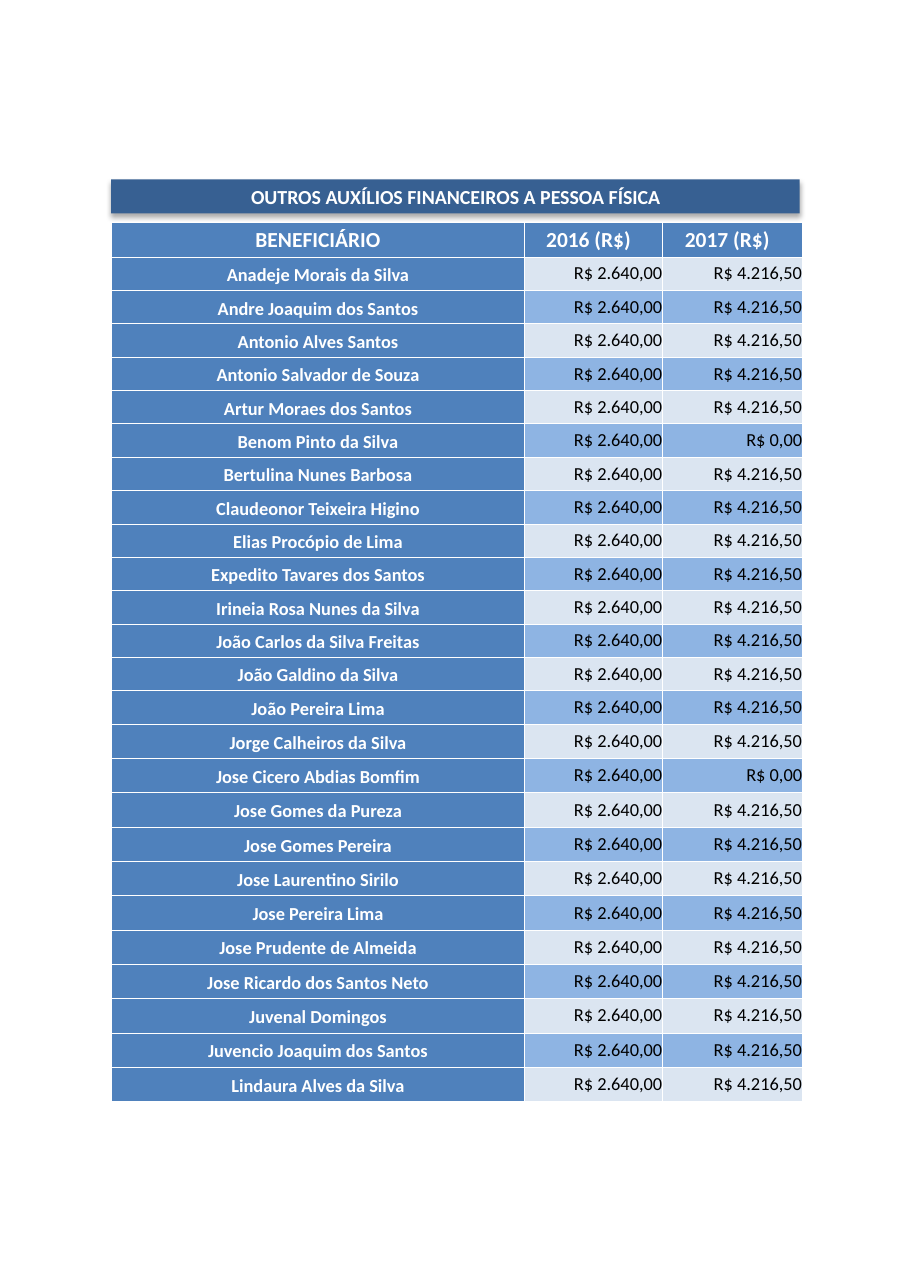
"""Build the slide listing financial aid paid to individuals in 2016 and 2017."""
from lxml import etree
from pptx import Presentation
from pptx.dml.color import RGBColor
from pptx.enum.shapes import MSO_SHAPE as Shape
from pptx.enum.text import MSO_ANCHOR as Anchor, PP_ALIGN as Align
from pptx.oxml import parse_xml
from pptx.oxml.ns import nsdecls, qn
from pptx.util import Pt

COLORS = {
    "title": "376092",
    "header": "4F81BC",
    "light": "DBE5F1",
    "dark": "8EB4E3",
    "white": "FFFFFF",
    "black": "000000",
}
FONT = "Calibri"
AID_2016 = "R$ 2.640,00"
AID_2017 = "R$ 4.216,50"
NO_AID = "R$ 0,00"
BENEFICIARIES = [
    "Anadeje Morais da Silva",
    "Andre Joaquim dos Santos",
    "Antonio Alves Santos",
    "Antonio Salvador de Souza",
    "Artur Moraes dos Santos",
    "Benom Pinto da Silva",
    "Bertulina Nunes Barbosa",
    "Claudeonor Teixeira Higino",
    "Elias Procópio de Lima",
    "Expedito Tavares dos Santos",
    "Irineia Rosa Nunes da Silva",
    "João Carlos da Silva Freitas",
    "João Galdino da Silva",
    "João Pereira Lima",
    "Jorge Calheiros da Silva",
    "Jose Cicero Abdias Bomfim",
    "Jose Gomes da Pureza",
    "Jose Gomes Pereira",
    "Jose Laurentino Sirilo",
    "Jose Pereira Lima",
    "Jose Prudente de Almeida",
    "Jose Ricardo dos Santos Neto",
    "Juvenal Domingos",
    "Juvencio Joaquim dos Santos",
    "Lindaura Alves da Silva",
]
UNPAID_2017 = {"Benom Pinto da Silva", "Jose Cicero Abdias Bomfim"}


def write(frame, text, size, color, bold, align):
    frame.text = text
    paragraph = frame.paragraphs[0]
    paragraph.alignment = align
    font = paragraph.runs[0].font
    font.name = FONT
    font.size = Pt(size)
    font.bold = bold
    font.color.rgb = RGBColor.from_string(COLORS[color])
    return paragraph


def style_cell(cell, fill, left=0, right=0):
    cell.vertical_anchor = Anchor.MIDDLE
    cell.margin_left, cell.margin_right = Pt(left), Pt(right)
    cell.margin_top = cell.margin_bottom = Pt(0)
    properties = cell._tc.get_or_add_tcPr()
    for side in ("lnL", "lnR", "lnT", "lnB"):
        border = etree.SubElement(properties, qn(f"a:{side}"), w=str(Pt(0.5)))
        border_fill = etree.SubElement(border, qn("a:solidFill"))
        etree.SubElement(border_fill, qn("a:srgbClr"), val=COLORS["white"])
    cell.fill.solid()
    cell.fill.fore_color.rgb = RGBColor.from_string(COLORS[fill])


deck = Presentation()
deck.slide_width, deck.slide_height = Pt(595.44), Pt(841.68)
slide = deck.slides.add_slide(deck.slide_layouts[6])

title = slide.shapes.add_shape(Shape.RECTANGLE, Pt(72.7), Pt(117.2), Pt(450), Pt(22.3))
title.fill.solid()
title.fill.fore_color.rgb = RGBColor.from_string(COLORS["title"])
title.line.fill.background()
title.shadow.inherit = False
title._element.spPr.find(qn("a:effectLst")).append(parse_xml(
    f'<a:outerShdw {nsdecls("a")} blurRad="{Pt(3.5)}" dist="{Pt(2.2)}" dir="5400000" rotWithShape="0">'
    f'<a:srgbClr val="{COLORS["black"]}"><a:alpha val="32000"/></a:srgbClr></a:outerShdw>'
))
title.text_frame.word_wrap = True
title.text_frame.vertical_anchor = Anchor.MIDDLE
write(title.text_frame, "OUTROS AUXÍLIOS FINANCEIROS A PESSOA FÍSICA", 13, "white", True, Align.CENTER)

row_heights = [22.7] + [21.8] * 14 + [22.45] * 11
column_widths = [270, 90, 91.4]
aid = slide.shapes.add_table(
    len(row_heights), len(column_widths),
    Pt(72.9), Pt(145.3), Pt(sum(column_widths)), Pt(sum(row_heights)),
).table
for column, width in zip(aid.columns, column_widths):
    column.width = Pt(width)
for row, height in zip(aid.rows, row_heights):
    row.height = Pt(height)

for index, heading in enumerate(["BENEFICIÁRIO", "2016 (R$)", "2017 (R$)"]):
    cell = aid.cell(0, index)
    style_cell(cell, "header", right=6.5 if index else 0)
    write(cell.text_frame, heading, 14, "white", True, Align.CENTER)

for index, beneficiary in enumerate(BENEFICIARIES, start=1):
    name_cell = aid.cell(index, 0)
    style_cell(name_cell, "header", left=3.6, right=3.6)
    name = write(name_cell.text_frame, beneficiary, 12, "white", True, Align.CENTER)
    name.line_spacing = 1.15
    amounts = [AID_2016, NO_AID if beneficiary in UNPAID_2017 else AID_2017]
    for year, amount in enumerate(amounts, start=1):
        amount_cell = aid.cell(index, year)
        style_cell(amount_cell, "light" if index % 2 else "dark")
        write(amount_cell.text_frame, amount, 12, "black", False, Align.RIGHT)

deck.save("out.pptx")
